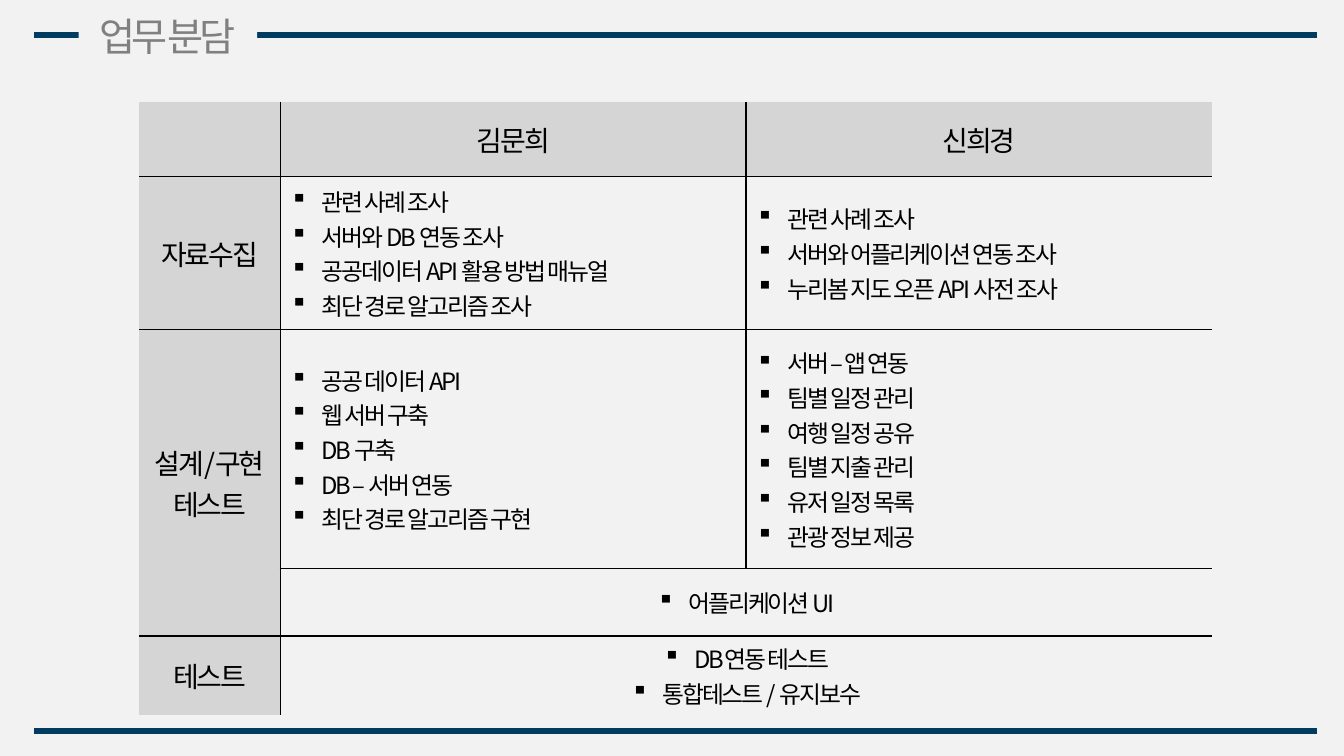
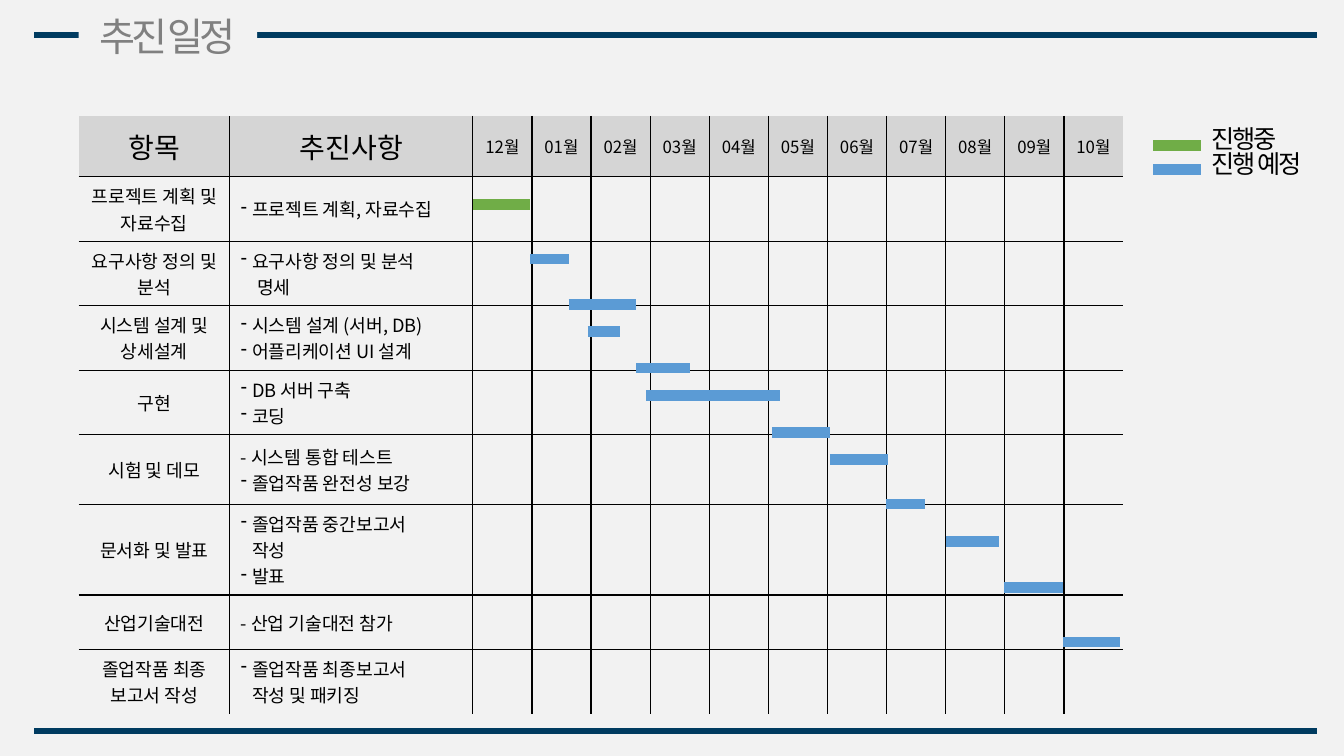
from dataclasses import dataclass

from lxml.etree import SubElement
from pptx import Presentation
from pptx.dml.color import RGBColor
from pptx.enum.shapes import MSO_CONNECTOR
from pptx.enum.text import MSO_ANCHOR, MSO_AUTO_SIZE, PP_ALIGN
from pptx.oxml.ns import qn
from pptx.presentation import Presentation as Deck
from pptx.shapes.connector import Connector
from pptx.slide import Slide
from pptx.table import Table, _Cell
from pptx.text.text import TextFrame
from pptx.util import Inches, Pt

COLORS = {
    "page": "F2F2F2",
    "navy": "003B60",
    "title": "808080",
    "text": "000000",
    "header": "D5D5D5",
    "ongoing": "70AD47",
    "planned": "5B9BD5",
}
FONT = "Noto Sans CJK KR"
PLAIN_TABLE_STYLE = "{2D5ABB26-0587-4C30-8999-92F81FD0307C}"
BAR_WEIGHT = 7.75


@dataclass(frozen=True)
class TextStyle:
    size: float
    color: str = "text"
    spacing: float = 0
    align: PP_ALIGN = PP_ALIGN.LEFT


@dataclass(frozen=True)
class Item:
    text: str
    bullet: str = ""
    margin: float = 0


@dataclass(frozen=True)
class Bar:
    start: float
    end: float
    top: float
    color: str = "planned"


@dataclass(frozen=True)
class Stage:
    name: str
    tasks: list[Item]
    height: float


TITLE = TextStyle(28, "title", -3, PP_ALIGN.CENTER)
DUTY_HEADING = TextStyle(20, spacing=-1.5, align=PP_ALIGN.CENTER)
DUTY_LIST = TextStyle(17, spacing=-1.5)
SHARED_DUTY = TextStyle(17, spacing=-1.5, align=PP_ALIGN.CENTER)
PLAN_HEADING = TextStyle(20, align=PP_ALIGN.CENTER)
MONTH = TextStyle(12, align=PP_ALIGN.CENTER)
STAGE_NAME = TextStyle(13, align=PP_ALIGN.CENTER)
STAGE_TASK = TextStyle(13)
LEGEND = TextStyle(18, spacing=-1.5)


def squares(*texts: str) -> list[Item]:
    return [Item(text, "▪", 0.31) for text in texts]


def dashes(*texts: str) -> list[Item]:
    return [Item(text, "-", 0.11) for text in texts]


def plain(*texts: str) -> list[Item]:
    return [Item(text) for text in texts]


DUTY_COLUMNS = [1.4, 4.62, 4.62]
DUTY_ROWS = [0.74, 1.52, 2.37, 0.67, 0.67]
DUTY_CELLS = {
    (0, 1): (plain("김문희"), DUTY_HEADING),
    (0, 2): (plain("신희경"), DUTY_HEADING),
    (1, 0): (plain("자료수집"), DUTY_HEADING),
    (1, 1): (
        squares(
            "관련 사례 조사",
            "서버와 DB 연동 조사",
            "공공데이터 API 활용 방법 매뉴얼",
            "최단 경로 알고리즘 조사",
        ),
        DUTY_LIST,
    ),
    (1, 2): (
        squares("관련 사례 조사", "서버와 어플리케이션 연동 조사", "누리봄 지도 오픈 API 사전 조사"),
        DUTY_LIST,
    ),
    (2, 0): (plain("설계/구현", "테스트"), DUTY_HEADING),
    (2, 1): (
        squares(
            "공공 데이터 API",
            "웹 서버 구축",
            "DB 구축",
            "DB – 서버 연동",
            "최단 경로 알고리즘 구현",
        ),
        DUTY_LIST,
    ),
    (2, 2): (
        squares(
            "서버 – 앱 연동",
            "팀별 일정 관리",
            "여행 일정 공유",
            "팀별 지출 관리",
            "유저 일정 목록",
            "관광 정보 제공",
        ),
        DUTY_LIST,
    ),
    (3, 1): (squares("어플리케이션 UI"), SHARED_DUTY),
    (4, 0): (plain("테스트"), DUTY_HEADING),
    (4, 1): (squares("DB연동 테스트", "통합테스트 / 유지보수"), SHARED_DUTY),
}
DUTY_MERGES = [((2, 0), (3, 0)), ((3, 1), (3, 2)), ((4, 1), (4, 2))]

MONTHS = [12, *range(1, 11)]
STAGES = [
    Stage("프로젝트 계획 및 자료수집", dashes("프로젝트 계획, 자료수집"), 0.59),
    Stage("요구사항 정의 및 분석", [*dashes("요구사항 정의 및 분석"), Item("명세", margin=0.16)], 0.56),
    Stage("시스템 설계 및 상세설계", dashes("시스템 설계 (서버, DB)", "어플리케이션 UI 설계"), 0.61),
    Stage("구현", dashes("DB 서버 구축", "코딩"), 0.63),
    Stage("시험 및 데모", [*plain("- 시스템 통합 테스트"), *dashes("졸업작품 완전성 보강")], 0.69),
    Stage(
        "문서화 및 발표",
        [*dashes("졸업작품 중간보고서"), Item("작성", margin=0.11), *dashes("발표")],
        0.76,
    ),
    Stage("산업기술대전", plain("- 산업 기술대전 참가"), 0.54),
    Stage(
        "졸업작품 최종\n보고서 작성",
        [*dashes("졸업작품 최종보고서"), Item("작성 및 패키징", margin=0.11)],
        0.63,
    ),
]
BARS = [
    Bar(4.69, 5.26, 2.03, "ongoing"),
    Bar(5.26, 5.64, 2.57),
    Bar(5.64, 6.31, 3.02),
    Bar(5.83, 6.15, 3.29),
    Bar(6.31, 6.84, 3.65),
    Bar(6.41, 7.74, 3.92),
    Bar(7.66, 8.23, 4.29),
    Bar(8.23, 8.81, 4.56),
    Bar(8.79, 9.17, 5),
    Bar(9.38, 9.91, 5.37),
    Bar(9.96, 10.54, 5.83),
    Bar(10.54, 11.11, 6.37),
]
LEGEND_BARS = [Bar(11.44, 11.91, 1.44, "ongoing"), Bar(11.44, 11.91, 1.68)]


def rgb(name: str) -> RGBColor:
    return RGBColor.from_string(COLORS[name])


def write_items(frame: TextFrame, items: list[Item], style: TextStyle) -> None:
    frame.text = "\n".join(item.text for item in items)
    for para, item in zip(frame.paragraphs, items):
        para.alignment = style.align
        properties = para._p.get_or_add_pPr()
        if item.margin:
            properties.set("marL", str(Inches(item.margin)))
        if item.bullet:
            properties.set("indent", str(-Inches(item.margin)))
            SubElement(properties, qn("a:buChar")).set("char", item.bullet)
        for span in para.runs:
            span.font.size = Pt(style.size)
            span.font.name = FONT
            span.font.color.rgb = rgb(style.color)
            span_properties = span._r.get_or_add_rPr()
            span_properties.set("spc", str(int(style.spacing * 100)))
            SubElement(span_properties, qn("a:ea")).set("typeface", FONT)


def add_line(page: Slide, bar: Bar, weight: float) -> Connector:
    top = Inches(bar.top)
    line = page.shapes.add_connector(
        MSO_CONNECTOR.STRAIGHT, Inches(bar.start), top, Inches(bar.end), top
    )
    line.line.color.rgb = rgb(bar.color)
    line.line.width = Pt(weight)
    SubElement(line._element.spPr, qn("a:effectLst"))
    return line


def add_page(deck: Deck, heading: str) -> Slide:
    page = deck.slides.add_slide(deck.slide_layouts[5])
    title = page.shapes.title
    title.left, title.top = Inches(0.78), Inches(0.07)
    title.width, title.height = Inches(1.77), Inches(0.57)
    title.fill.solid()
    title.fill.fore_color.rgb = rgb("page")
    write_items(title.text_frame, plain(heading), TITLE)
    title.text_frame.auto_size = MSO_AUTO_SIZE.NONE
    title.text_frame.vertical_anchor = MSO_ANCHOR.MIDDLE
    for top in (0.35, 7.25):
        rule = add_line(page, Bar(0.34, 13.06, top, "navy"), 4)
        title._element.addprevious(rule._element)
    return page


def add_grid(
    page: Slide, left: float, top: float, columns: list[float], rows: list[float]
) -> Table:
    frame = page.shapes.add_table(
        len(rows), len(columns), Inches(left), Inches(top), Inches(sum(columns)), Inches(sum(rows))
    )
    table = frame.table
    table._tbl.tblPr.find(qn("a:tableStyleId")).text = PLAIN_TABLE_STYLE
    table.first_row = table.horz_banding = False
    for column, width in zip(table.columns, columns):
        column.width = Inches(width)
    for row, height in zip(table.rows, rows):
        row.height = Inches(height)
    return table


def add_border(cell: _Cell, edge: str) -> None:
    border = SubElement(cell._tc.get_or_add_tcPr(), qn(f"a:{edge}"), w=str(Pt(1)))
    fill = SubElement(border, qn("a:solidFill"))
    SubElement(fill, qn("a:srgbClr"), val=COLORS["text"])


def finish_grid(table: Table, shaded_column: bool) -> None:
    last_row, last_column = len(table.rows) - 1, len(table.columns) - 1
    for row in range(last_row + 1):
        for column in range(last_column + 1):
            cell = table.cell(row, column)
            inner_edges = {
                "lnL": column > 0 and not cell._tc.hMerge,
                "lnR": column < last_column and not table.cell(row, column + 1)._tc.hMerge,
                "lnT": row > 0 and not cell._tc.vMerge,
                "lnB": row < last_row and not table.cell(row + 1, column)._tc.vMerge,
            }
            for edge, visible in inner_edges.items():
                if visible:
                    add_border(cell, edge)
            cell.vertical_anchor = MSO_ANCHOR.MIDDLE
            if row == 0 or (shaded_column and column == 0):
                cell.fill.solid()
                cell.fill.fore_color.rgb = rgb("header")
            else:
                cell.fill.background()


def build_duties(deck: Deck) -> None:
    page = add_page(deck, "업무 분담")
    table = add_grid(page, 1.38, 1.01, DUTY_COLUMNS, DUTY_ROWS)
    for first, last in DUTY_MERGES:
        table.cell(*first).merge(table.cell(*last))
    for position, (items, style) in DUTY_CELLS.items():
        write_items(table.cell(*position).text_frame, items, style)
    finish_grid(table, shaded_column=True)


def build_schedule(deck: Deck) -> None:
    page = add_page(deck, "추진 일정")
    columns = [1.5, 2.41] + [6.45 / len(MONTHS)] * len(MONTHS)
    table = add_grid(page, 0.78, 1.15, columns, [0.58] + [stage.height for stage in STAGES])
    for cell in table.iter_cells():
        cell.margin_left = cell.margin_right = Inches(0.11)
        cell.margin_top = cell.margin_bottom = Inches(0.06)
    for column, heading in enumerate(("항목", "추진사항")):
        write_items(table.cell(0, column).text_frame, plain(heading), PLAN_HEADING)
    for column, month in enumerate(MONTHS, start=2):
        write_items(table.cell(0, column).text_frame, plain(f"{month:02}월"), MONTH)
    for row, stage in enumerate(STAGES, start=1):
        write_items(table.cell(row, 0).text_frame, plain(*stage.name.split("\n")), STAGE_NAME)
        write_items(table.cell(row, 1).text_frame, stage.tasks, STAGE_TASK)
    finish_grid(table, shaded_column=False)
    for bar in BARS + LEGEND_BARS:
        add_line(page, bar, BAR_WEIGHT)
    box = page.shapes.add_textbox(Inches(11.92), Inches(1.23), Inches(1.41), Inches(0.71))
    box.text_frame.word_wrap = True
    write_items(box.text_frame, plain("진행중", "진행 예정"), LEGEND)
    for para in box.text_frame.paragraphs:
        para.line_spacing = 0.82


def main() -> None:
    deck = Presentation()
    deck.slide_width, deck.slide_height = Inches(13.33), Inches(7.5)
    background = deck.slide_master.background.fill
    background.solid()
    background.fore_color.rgb = rgb("page")
    build_duties(deck)
    build_schedule(deck)
    deck.save("out.pptx")


if __name__ == "__main__":
    main()
